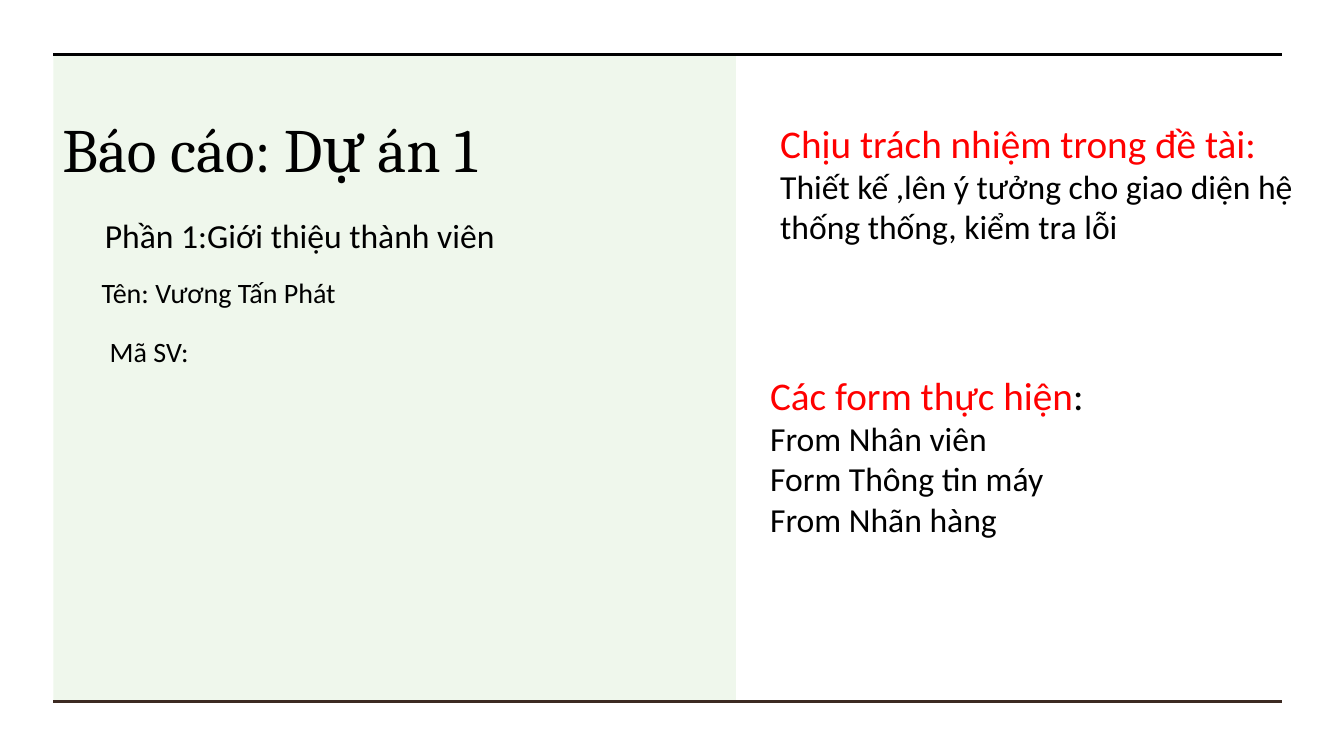
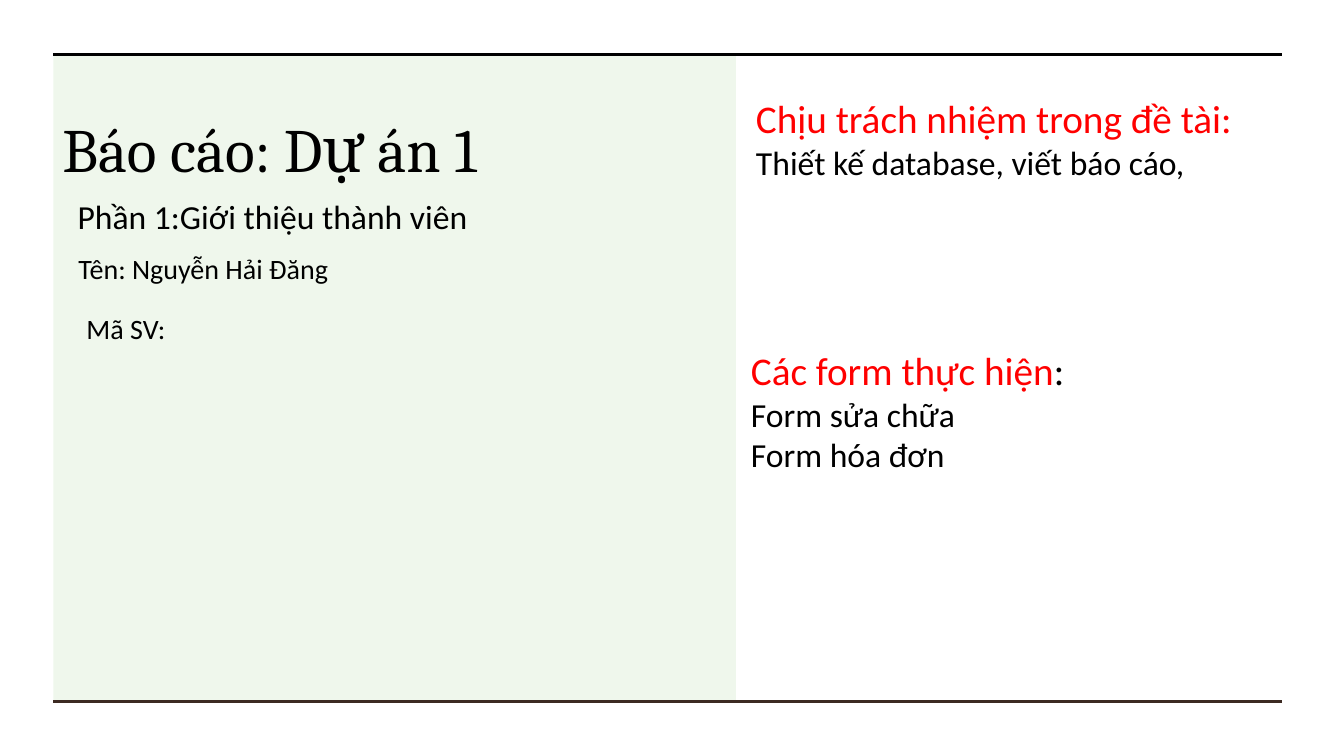
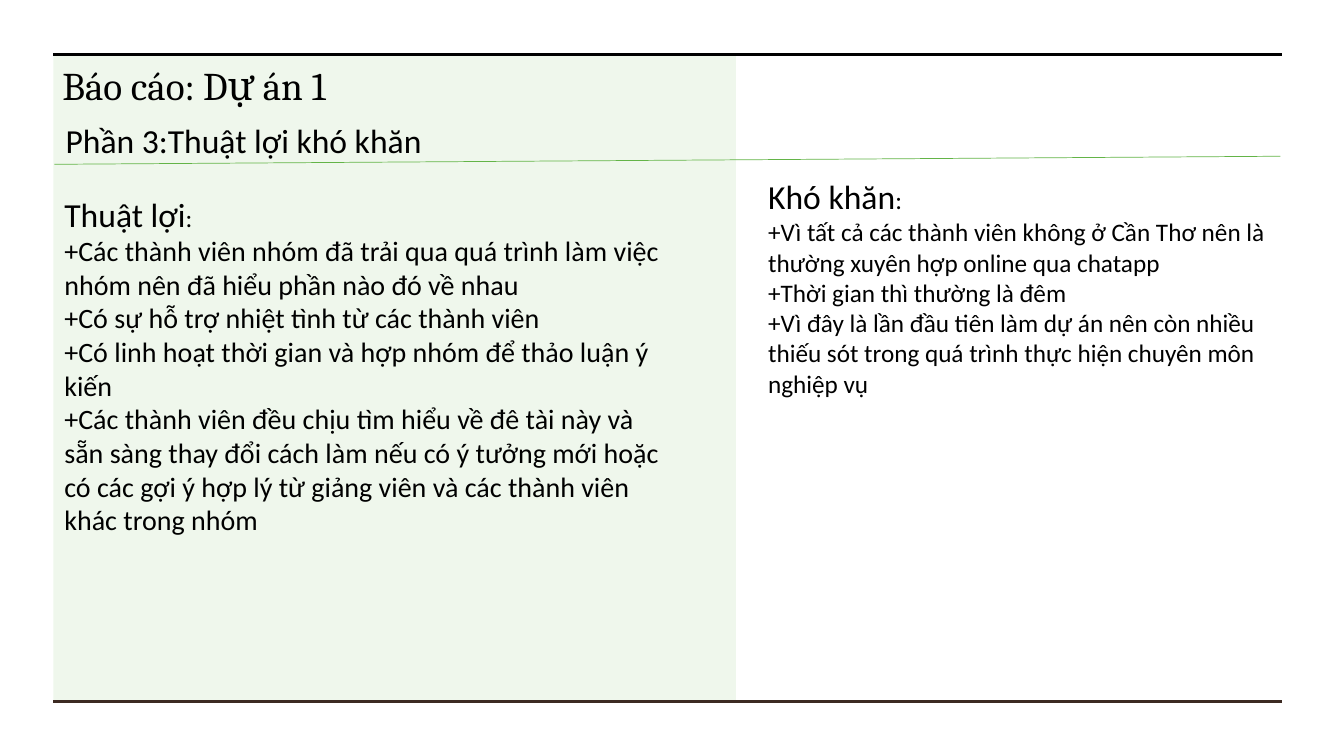
from dataclasses import dataclass

from lxml.etree import SubElement
from pptx import Presentation
from pptx.dml.color import RGBColor
from pptx.enum.shapes import MSO_CONNECTOR, MSO_SHAPE
from pptx.enum.text import MSO_ANCHOR, MSO_AUTO_SIZE
from pptx.oxml.ns import qn
from pptx.slide import Slide
from pptx.util import Inches, Pt

COLORS = {
    "black": "000000",
    "brown": "3C2A22",
    "green": "63B447",
    "red": "FF0000",
    "white": "FFFFFF",
}
HEADING_FONT = "Cambria"
BODY_FONT = "Calibri"
FRAME_LEFT, FRAME_RIGHT = 0.53, 12.72
FRAME_TOP, FRAME_BOTTOM = 0.54, 6.96
PANEL_WIDTH = 6.77
TITLE_HEIGHT = 0.9
PANEL_OPACITY = 10


@dataclass(frozen=True)
class Run:
    text: str
    size: float
    color: str = "black"
    font: str = BODY_FONT


@dataclass(frozen=True)
class TextBlock:
    left: float
    top: float
    width: float
    height: float
    paragraphs: list[list[Run]]
    bottom_anchored: bool = False
    margin: float | None = None
    space_after: float = 0


@dataclass(frozen=True)
class Rule:
    start: tuple[float, float]
    end: tuple[float, float]
    color: str
    weight: float


@dataclass(frozen=True)
class Page:
    title_bottom: float
    title_size: float
    section: str
    section_position: tuple[float, float]
    blocks: list[TextBlock]
    rules: tuple[Rule, ...] = ()


FRAME_RULES = (
    Rule((FRAME_LEFT, FRAME_TOP), (FRAME_RIGHT, FRAME_TOP), "black", 2.25),
    Rule((FRAME_LEFT, FRAME_BOTTOM), (FRAME_RIGHT, FRAME_BOTTOM), "brown", 2.25),
)


def rgb(name: str) -> RGBColor:
    return RGBColor.from_string(COLORS[name])


def draw_panel(slide: Slide) -> None:
    panel = slide.shapes.add_shape(
        MSO_SHAPE.RECTANGLE, Inches(FRAME_LEFT), Inches(FRAME_TOP),
        Inches(PANEL_WIDTH), Inches(FRAME_BOTTOM - FRAME_TOP),
    )
    panel.shadow.inherit = False
    panel.line.fill.background()
    panel.fill.solid()
    panel.fill.fore_color.rgb = rgb("green")
    color = panel.fill._xPr.find(qn("a:solidFill")).find(qn("a:srgbClr"))
    SubElement(color, qn("a:alpha")).set("val", str(PANEL_OPACITY * 1000))


def draw_rule(slide: Slide, rule: Rule) -> None:
    connector = slide.shapes.add_connector(
        MSO_CONNECTOR.STRAIGHT,
        *(Inches(value) for value in (*rule.start, *rule.end)),
    )
    connector.line.color.rgb = rgb(rule.color)
    connector.line.width = Pt(rule.weight)
    SubElement(connector._element.spPr, qn("a:effectLst"))


def draw_text(slide: Slide, block: TextBlock) -> None:
    shape = slide.shapes.add_textbox(
        Inches(block.left), Inches(block.top),
        Inches(block.width), Inches(block.height),
    )
    frame = shape.text_frame
    frame.word_wrap = True
    if block.bottom_anchored:
        frame.vertical_anchor = MSO_ANCHOR.BOTTOM
    else:
        frame.auto_size = MSO_AUTO_SIZE.SHAPE_TO_FIT_TEXT
    if block.margin is not None:
        frame.margin_left = frame.margin_right = Inches(block.margin)
        frame.margin_top = Inches(block.margin)
        frame.margin_bottom = Inches(0.1)
    for index, runs in enumerate(block.paragraphs):
        paragraph = frame.add_paragraph() if index else frame.paragraphs[0]
        paragraph.space_after = Pt(block.space_after)
        for item in runs:
            run = paragraph.add_run()
            run.text = item.text
            run.font.name = item.font
            run.font.size = Pt(item.size)
            run.font.color.rgb = rgb(item.color)


def draw_page(presentation: Presentation, page: Page) -> None:
    slide = presentation.slides.add_slide(presentation.slide_layouts[6])
    slide.background.fill.solid()
    slide.background.fill.fore_color.rgb = rgb("white")
    draw_panel(slide)
    for rule in FRAME_RULES + page.rules:
        draw_rule(slide, rule)
    title = TextBlock(
        0.52, page.title_bottom - TITLE_HEIGHT, 10.41, TITLE_HEIGHT,
        [[Run("Báo cáo: Dự án 1", page.title_size, font=HEADING_FONT)]],
        bottom_anchored=True, space_after=6,
    )
    section = TextBlock(
        *page.section_position, 4.72, 0.56, [[Run(page.section, 24)]],
        bottom_anchored=True, margin=0.12,
    )
    for block in (title, section, *page.blocks):
        draw_text(slide, block)


def member_page(
    name: str,
    section_position: tuple[float, float],
    name_position: tuple[float, float],
    duty: str,
    duty_box: tuple[float, float, float, float],
    forms: list[str],
    forms_box: tuple[float, float, float, float],
) -> Page:
    left, top = name_position
    form_paragraphs = [[Run("Các form thực hiện", 28, "red"), Run(":", 28)]]
    form_paragraphs += [[Run(form, 24)] for form in forms]
    return Page(
        1.88, 44, "Phần 1:Giới thiệu thành viên", section_position,
        [
            TextBlock(left, top, 5.3, 0.44, [[Run(f"Tên: {name}", 20)]]),
            TextBlock(left + 0.08, top + 0.59, 5.3, 0.44, [[Run("Mã SV:", 20)]]),
            TextBlock(*duty_box, [
                [Run("Chịu trách nhiệm trong đề tài:", 28, "red"), Run(duty, 24)],
            ]),
            TextBlock(*forms_box, form_paragraphs),
        ],
    )


def points(heading: str, size: float, items: list[str]) -> list[list[Run]]:
    return [[Run(heading, 24), Run(":", 18)]] + [[Run(f"+{item}", size)] for item in items]


PAGES = [
    member_page(
        "Vương Tấn Phát", (0.92, 2.07), (0.91, 2.68),
        " Thiết kế ,lên ý tưởng cho giao diện hệ thống thống, kiểm tra lỗi",
        (7.64, 1.13, 5.3, 1.38),
        ["From Nhân viên", "Form Thông tin máy", "From Nhãn hàng"],
        (7.54, 3.63, 5.3, 1.78),
    ),
    member_page(
        "Nguyễn Hải Đăng", (0.65, 1.88), (0.68, 2.45),
        " Thiết kế database, viết báo cáo,",
        (7.4, 0.89, 5.3, 1.04),
        ["Form sửa chữa", "Form hóa đơn"],
        (7.35, 3.39, 5.26, 1.38),
    ),
    Page(
        1.12, 28, "Phần 3:Thuật lợi khó khăn", (0.53, 1.13),
        [
            TextBlock(0.54, 1.87, 6.27, 3.53, points("Thuật lợi", 20, [
                "Các thành viên nhóm đã trải qua quá trình làm việc nhóm nên "
                "đã hiểu phần nào đó về nhau",
                "Có sự hỗ trợ nhiệt tình từ các thành viên",
                "Có linh hoạt thời gian và hợp nhóm để thảo luận ý kiến",
                "Các thành viên đều chịu tìm hiểu về đê tài này và sẵn sàng "
                "thay đổi cách làm nếu có ý tưởng mới hoặc có các gợi ý hợp lý "
                "từ giảng viên và các thành viên khác trong nhóm",
            ])),
            TextBlock(7.52, 1.7, 5.48, 2.63, points("Khó khăn", 18, [
                "Vì tất cả các thành viên không ở Cần Thơ nên là thường xuyên "
                "hợp online qua chatapp",
                "Thời gian thì thường là đêm",
                "Vì đây là lần đầu tiên làm dự án nên còn nhiều thiếu sót "
                "trong quá trình thực hiện chuyên môn nghiệp vụ",
            ])),
        ],
        (Rule((0.54, 1.63), (12.7, 1.55), "green", 0.5),),
    ),
]


def main() -> None:
    presentation = Presentation()
    presentation.slide_width = Inches(13.33)
    presentation.slide_height = Inches(7.5)
    for page in PAGES:
        draw_page(presentation, page)
    presentation.save("out.pptx")


if __name__ == "__main__":
    main()
